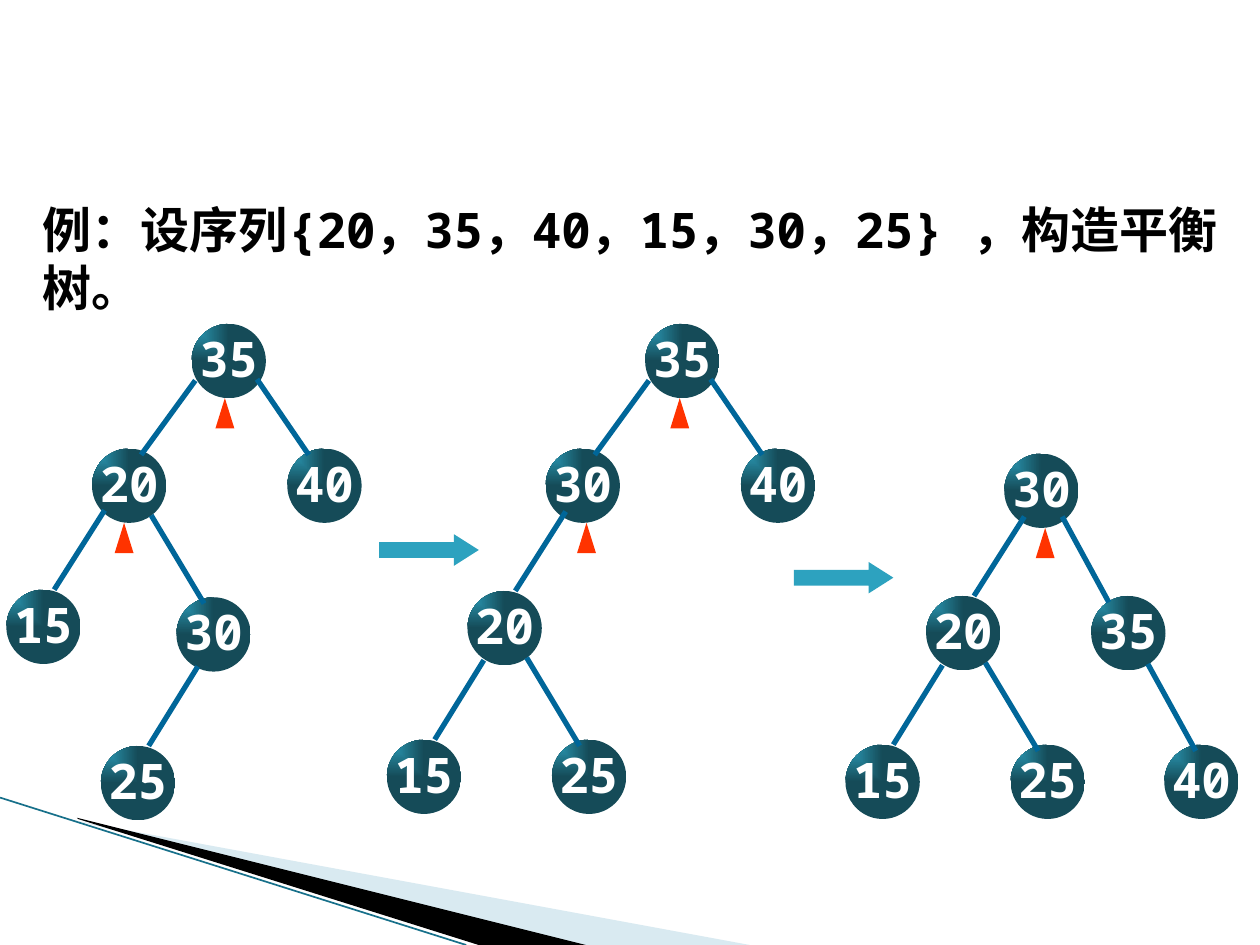
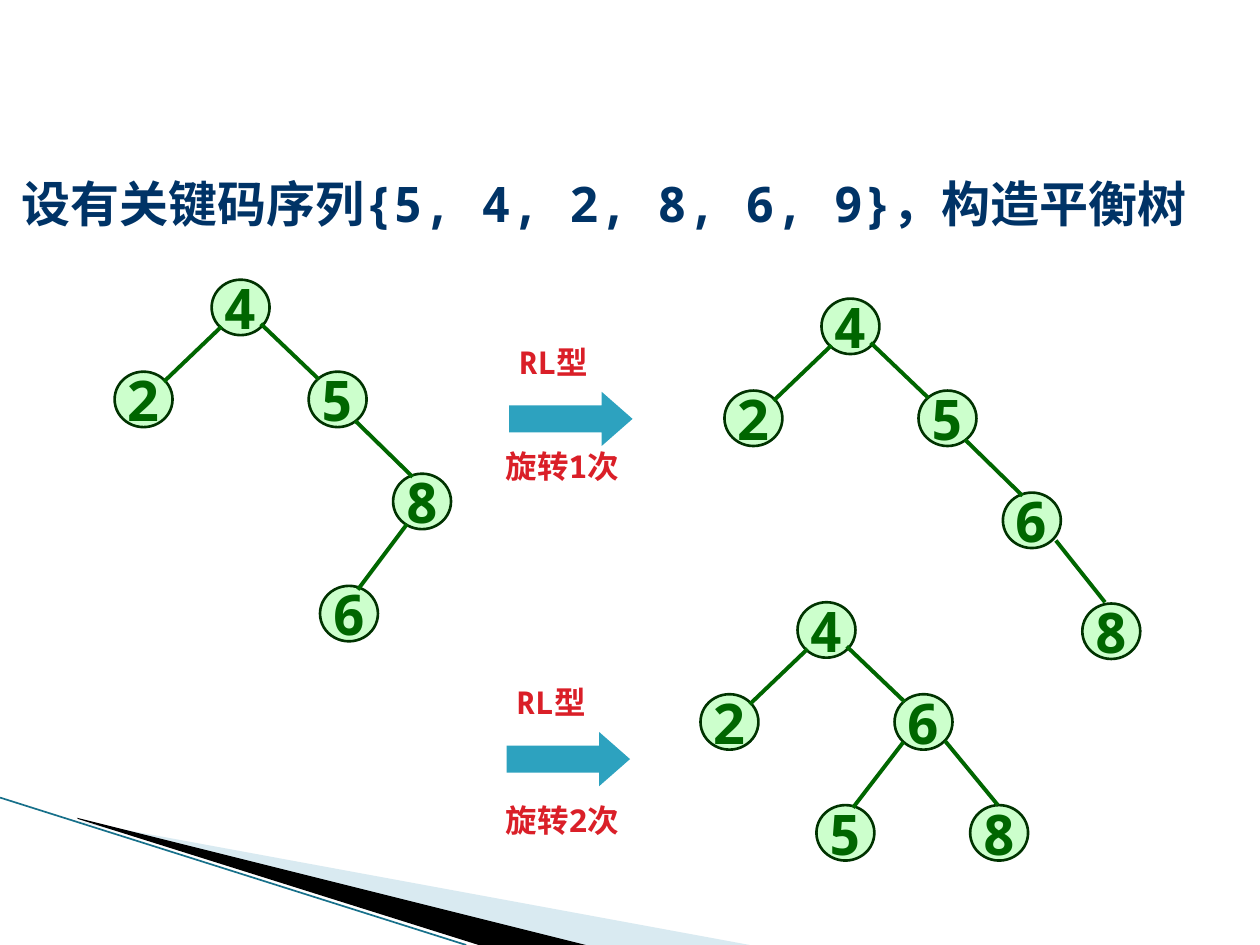
from dataclasses import dataclass
from typing import NamedTuple

from lxml import etree
from pptx import Presentation
from pptx import util as u
from pptx.dml import color
from pptx.enum import shapes, text
from pptx.oxml import ns

prs = Presentation()
prs.slide_width, prs.slide_height = u.Inches(10), u.Inches(7.5)

# Grid: 100 columns by 75 rows
COL, ROW = prs.slide_width / 100, prs.slide_height / 75
LATIN, CJK = "Noto Sans Mono", "Noto Sans CJK SC"
COLORS = {
    "black": "000000", "white": "FFFFFF", "navy": "003366", "red": "DA1F28",
    "pointer": "FF3300", "arrow": "2DA2BF", "deep": "154B58", "edge": "006699",
    "leaf": "CCFFCC", "rim": "003300", "green": "006600",
    "pale": "A0CBDC", "rule": "17708A",
}


class Branch(NamedTuple):
    """Child step and link ends, all measured from the parent's corner."""
    dx: float
    dy: float
    x1: float
    y1: float
    x2: float
    y2: float


@dataclass
class Node:
    key: int
    children: tuple = ()          # pairs of (Branch, Node)
    mark: float | None = None     # column offset of the imbalance pointer


@dataclass
class TreeStyle:
    width: float
    height: float
    size: int
    ink: str
    edge: str
    edge_pt: float
    gradient: bool
    insets: tuple


BALLS = TreeStyle(5.9, 5.9, 28, "white", "edge", 3, True, (1, 0, 1, .5))
RINGS = TreeStyle(4.6, 4.4, 32, "green", "green", 2.25, False, (1, .5, 1, .5))


# Drawing helpers
def rgb(name: str) -> color.RGBColor:
    return color.RGBColor.from_string(COLORS[name])


def at(x: float, y: float) -> tuple:
    return round(x * COL), round(y * ROW)


def sub(parent, tag: str, **attrs):
    return etree.SubElement(parent, ns.qn(tag), attrs)


def add_run(paragraph, words: str, size: float, ink: str, latin: str = LATIN) -> None:
    run = paragraph.add_run()
    run.text = words
    run.font.size, run.font.bold, run.font.name = u.Pt(size), True, latin
    run.font.color.rgb = rgb(ink)
    sub(run.font._element, "a:ea", typeface=CJK)


def set_insets(frame, left: float, top: float, right: float, bottom: float) -> None:
    frame.margin_left, frame.margin_top = at(left, top)
    frame.margin_right, frame.margin_bottom = at(right, bottom)


def finish(shape, fill: str) -> None:
    shape.shadow.inherit = False
    shape.fill.solid()
    shape.fill.fore_color.rgb = rgb(fill)
    shape.line.fill.background()


def add_preset(slide, kind, x: float, y: float, w: float, h: float, fill: str):
    shape = slide.shapes.add_shape(kind, *at(x, y), *at(w, h))
    finish(shape, fill)
    return shape


def add_line(slide, x1: float, y1: float, x2: float, y2: float, ink: str, pt: float):
    line = slide.shapes.add_connector(
        shapes.MSO_CONNECTOR.STRAIGHT, *at(x1, y1), *at(x2, y2))
    line.line.color.rgb, line.line.width = rgb(ink), u.Pt(pt)
    sub(line._element.spPr, "a:effectLst")
    return line


def add_arrow(slide, x: float, y: float, w: float, h: float, head: float) -> None:
    arrow = add_preset(slide, shapes.MSO_SHAPE.RIGHT_ARROW, x, y, w, h, "arrow")
    arrow.adjustments[0], arrow.adjustments[1] = .5, head


def fill_corner_gradient(shape) -> None:
    """Light at the upper left corner, deep towards the lower right."""
    grad = etree.Element(ns.qn("a:gradFill"), rotWithShape="1")
    stops = sub(grad, "a:gsLst")
    for pos, name in (("0", "arrow"), ("100000", "deep")):
        sub(sub(stops, "a:gs", pos=pos), "a:srgbClr", val=COLORS[name])
    sub(sub(grad, "a:path", path="rect"), "a:fillToRect", r="100000", b="100000")
    solid = shape._element.spPr.find(ns.qn("a:solidFill"))
    solid.getparent().replace(solid, grad)


def draw_tree(slide, node: Node, x: float, y: float, style: TreeStyle) -> None:
    disc = add_preset(slide, shapes.MSO_SHAPE.OVAL, x, y, style.width, style.height, "leaf")
    if style.gradient:
        fill_corner_gradient(disc)
    else:
        disc.line.color.rgb, disc.line.width = rgb("rim"), u.Pt(1.5)
    frame = disc.text_frame
    frame.word_wrap = False
    frame.vertical_anchor = text.MSO_ANCHOR.MIDDLE
    set_insets(frame, *style.insets)
    frame.paragraphs[0].alignment = text.PP_ALIGN.CENTER
    add_run(frame.paragraphs[0], str(node.key), style.size, style.ink)
    if node.mark is not None:
        add_preset(slide, shapes.MSO_SHAPE.ISOSCELES_TRIANGLE,
                   x + node.mark, y + style.height, 1.5, 2.4, "pointer")
    for b, child in node.children:
        draw_tree(slide, child, x + b.dx, y + b.dy, style)
        add_line(slide, x + b.x1, y + b.y1, x + b.x2, y + b.y2, style.edge, style.edge_pt)


def add_slide(x: float, y: float, w: float, side: float, ink: str, runs: list):
    slide = prs.slides.add_slide(prs.slide_layouts[5])
    title = slide.shapes.title
    title.left, title.top = at(x, y)
    title.width, title.height = at(w, 5.7)
    frame = title.text_frame
    frame.word_wrap, frame.auto_size = True, text.MSO_AUTO_SIZE.NONE
    frame.vertical_anchor = text.MSO_ANCHOR.TOP
    set_insets(frame, side, .5, side, .5)
    frame.paragraphs[0].alignment = text.PP_ALIGN.LEFT
    for words, latin in runs:
        add_run(frame.paragraphs[0], words, 28, ink, latin)
    return slide


def add_label(slide, x: float, y: float, w: float, h: float, words: str) -> None:
    box = slide.shapes.add_textbox(*at(x, y), *at(w, h))
    box.text_frame.word_wrap = True
    add_run(box.text_frame.paragraphs[0], words, 18, "red")


def add_master_bands(slide) -> None:
    """Draw the corner bands and hand them to the slide master."""
    bands = []
    for points, fill in (
        ([(5.5, 65.05), (59.5, 75), (45.6, 75), (5.5, 65)], "pale"),
        ([(6.1, 64.9), (46.5, 75), (38, 75), (6.2, 65)], "black"),
    ):
        builder = slide.shapes.build_freeform(*at(*points[0]))
        builder.add_line_segments([at(*p) for p in points[1:]], close=True)
        band = builder.convert_to_shape()
        finish(band, fill)
        bands.append(band)
    tint = bands[0]._element.spPr.find(ns.qn("a:solidFill"))[0]
    sub(tint, "a:alpha", val="40000")
    bands.append(add_line(slide, 0, 63.3, 37, 75, "rule", .95))
    for number, band in enumerate(bands, 100):
        band._element.xpath(".//p:cNvPr")[0].set("id", str(number))
        prs.slide_master.shapes.element.append(band._element)


# Slide 1: sequence with a double rotation
sequence = [("例：设序列", CJK), ("{20", LATIN)]
for key in ("35", "40", "15", "30"):
    sequence += [("，", CJK), (key, LATIN)]
sequence += [("，", CJK), ("25} ，构造平衡树。", LATIN)]
rotation = add_slide(2.4, 15.3, 96.8, 1, "black", sequence)
add_master_bands(rotation)

TOP_L = Branch(-7.9, 9.9, .3, 4.5, -4, 10.4)
TOP_R = Branch(7.6, 9.9, 5.2, 4.4, 9.3, 10.4)
MID_L = Branch(-6.2, 11.3, 1.6, 5, -2.4, 11.3)
MID_R = Branch(6.9, 11.3, 4.6, 5, 8.3, 11.8)
LOW_L = Branch(-6.4, 11.8, 1.3, 5.5, -2.6, 11.8)
LOW_R = Branch(6.7, 11.8, 4.7, 5.3, 8.9, 12.3)
WIDE_L = Branch(-6.8, 11.2, 1, 4.9, -3, 11.2)
NEAR_L = Branch(-6, 11.8, 1.7, 5.5, -2.2, 11.8)
NEAR_R = Branch(5.8, 11.8, 4.5, 5.4, 8.3, 12.3)

rotated = Node(20, ((LOW_L, Node(15)), (LOW_R, Node(25))))
unbalanced = Node(20, ((WIDE_L, Node(15)),
                       (LOW_R, Node(30, ((NEAR_L, Node(25)),)))), mark=1.8)
for root, x, y in (
    (Node(35, ((TOP_L, unbalanced), (TOP_R, Node(40))), mark=1.9), 15.2, 25.7),
    (Node(35, ((TOP_L, Node(30, ((MID_L, rotated),), mark=2.5)),
               (TOP_R, Node(40))), mark=2), 51.2, 25.7),
    (Node(30, ((MID_L, rotated), (MID_R, Node(35, ((NEAR_R, Node(40)),)))),
          mark=2.5), 79.7, 36),
):
    draw_tree(rotation, root, x, y, BALLS)
for x, y in ((30.1, 42.4), (63, 44.6)):
    add_arrow(rotation, x, y, 7.9, 2.5, .786)

# Slide 2: RL rotation in two steps
rl_case = add_slide(1.7, 13.3, 95.6, 0, "navy",
                    [("设有关键码序列{5, 4, 2, 8, 6, 9}，构造平衡树", LATIN)])

CROWN_L = Branch(-7.7, 7.3, .8, 3.7, -3.8, 8.1)
CROWN_R = Branch(7.7, 7.3, 3.9, 3.5, 8.5, 7.9)
OUTER = Branch(6.7, 8.1, 3.7, 3.9, 8.25, 8.35)
TAIL_L = Branch(-5.8, 8.9, 1.1, 4, -2.8, 9.2)
TAIL_R = Branch(6.3, 8.8, 4.2, 3.8, 8.1, 8.7)
FORK_L = Branch(-6.2, 8.8, .7, 3.8, -3.3, 9)
FORK_R = Branch(6, 8.8, 4, 3.7, 8.2, 8.8)

for right, x, y in (
    (Node(5, ((OUTER, Node(8, ((TAIL_L, Node(6)),))),)), 16.8, 22.2),
    (Node(5, ((OUTER, Node(6, ((TAIL_R, Node(8)),))),)), 65.2, 23.7),
    (Node(6, ((FORK_L, Node(5)), (FORK_R, Node(8)))), 63.3, 47.8),
):
    draw_tree(rl_case, Node(4, ((CROWN_L, Node(2)), (CROWN_R, right))), x, y, RINGS)

# Rotation steps: type above the arrow, count below
for x, y, count, count_y in ((40.4, 31.1, 1, 35), (40.2, 58.1, 2, 63.1)):
    add_arrow(rl_case, x, y, 9.8, 4.3, .569)
    add_label(rl_case, x - .2, y - 4.4, 10.3, 5, "RL型")
    add_label(rl_case, 39.15, count_y, 12.3, 4, f"旋转{count}次")

prs.save("out.pptx")
